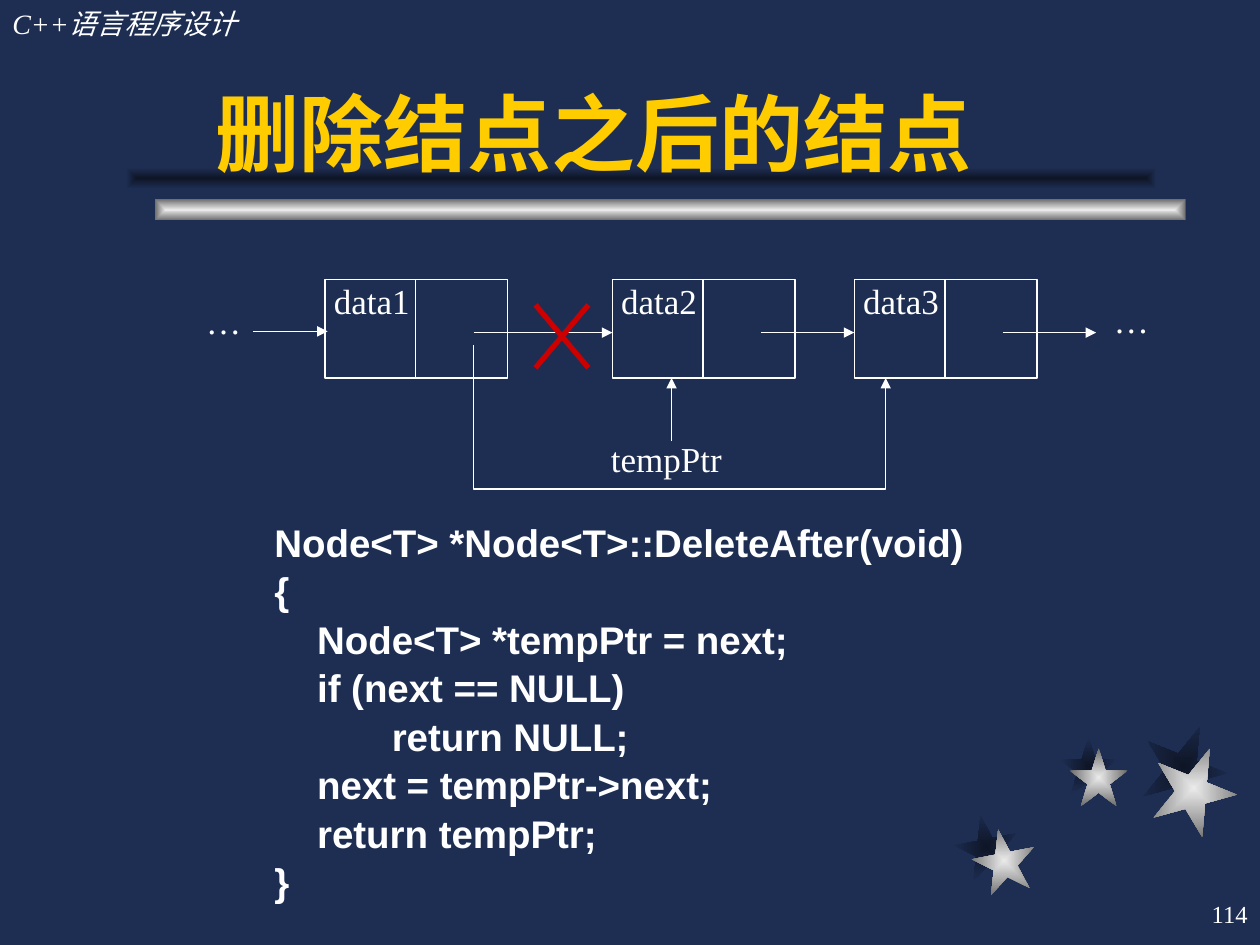
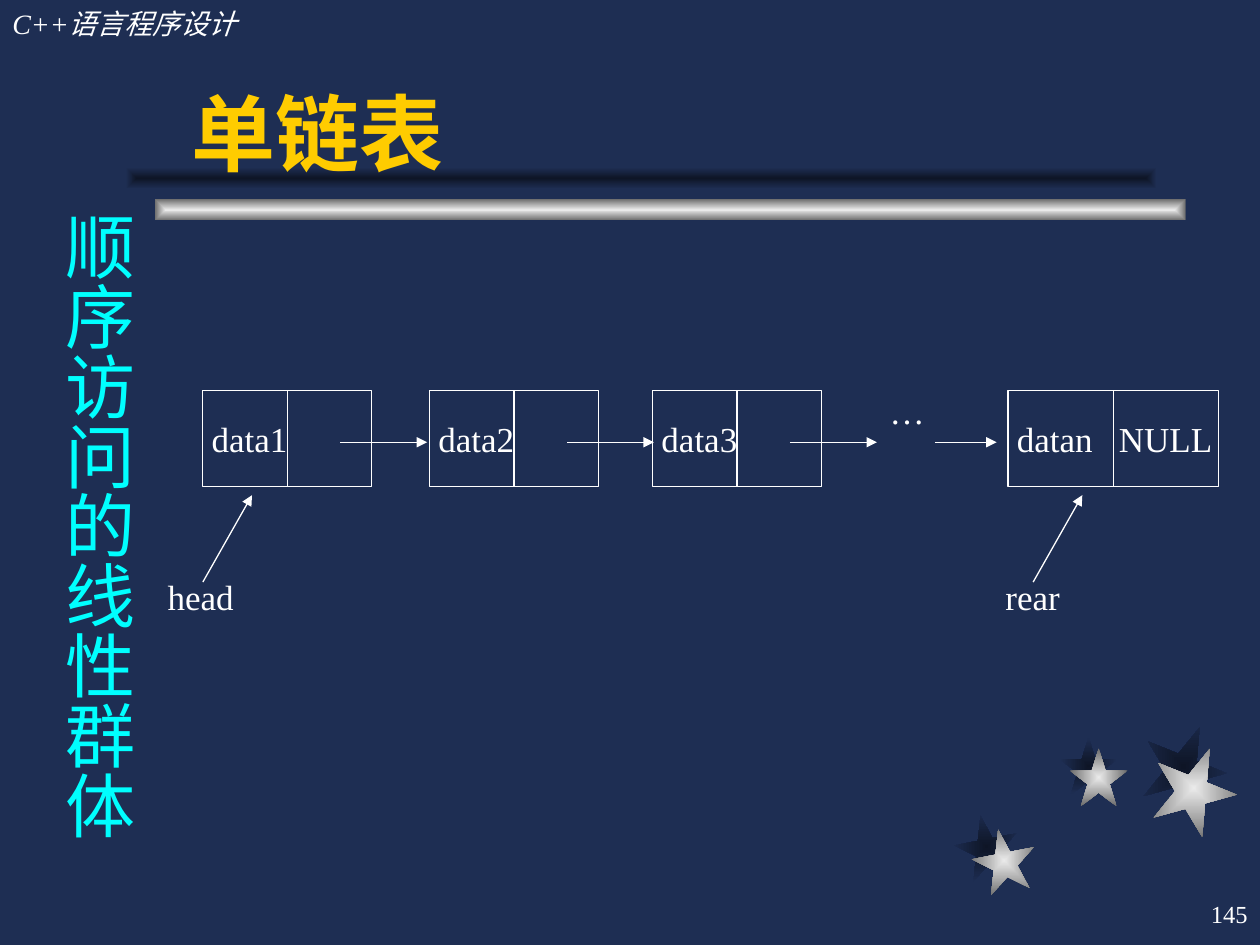
from pptx import Presentation
from pptx.dml.color import RGBColor
from pptx.enum.shapes import MSO_CONNECTOR, MSO_SHAPE
from pptx.enum.text import MSO_ANCHOR, MSO_AUTO_SIZE, PP_ALIGN
from pptx.oxml.ns import qn
from pptx.util import Inches, Pt
from lxml import etree

COLORS = {
    "night": "1E2E53",
    "shade": "0E1526",
    "silver": "EAEAEA",
    "steel": "6C6C6C",
    "white": "FFFFFF",
    "gold": "FFCC00",
    "cyan": "00FFFF",
    "red": "CC0000",
}
SERIF, SANS, HAN = "Times New Roman", "Arial", "Noto Sans CJK SC"
PLAIN = (0, 0, 0, 0)
NODE_INSETS = (0.07, 0, 0, 0)


def write_text(slide, text, box, size=20, font=SERIF, color="white", bold=False,
               italic=False, align=PP_ALIGN.LEFT, anchor=MSO_ANCHOR.TOP,
               insets=(0.1, 0.05, 0.1, 0.05), spacing=None, outlined=False,
               vertical=False, tab=None):
    place = [Inches(value) for value in box]
    if outlined:
        holder = slide.shapes.add_shape(MSO_SHAPE.RECTANGLE, *place)
        holder.shadow.inherit = False
        holder.fill.background()
        holder.line.color.rgb = RGBColor.from_string(COLORS["white"])
        holder.line.width = Pt(0.75)
    else:
        holder = slide.shapes.add_textbox(*place)
    frame = holder.text_frame
    frame.word_wrap = True
    frame.vertical_anchor = anchor
    (frame.margin_left, frame.margin_top,
     frame.margin_right, frame.margin_bottom) = [Inches(value) for value in insets]
    if vertical:
        frame.auto_size = MSO_AUTO_SIZE.SHAPE_TO_FIT_TEXT
        holder.element.txBody.find(qn("a:bodyPr")).set("vert", "eaVert")
    for number, words in enumerate(text.split("\n")):
        paragraph = frame.add_paragraph() if number else frame.paragraphs[0]
        paragraph.alignment = align
        if spacing:
            paragraph.line_spacing = spacing
        if tab:
            stops = etree.SubElement(paragraph._p.get_or_add_pPr(), qn("a:tabLst"))
            etree.SubElement(stops, qn("a:tab"), pos=str(Inches(tab)), algn="l")
        run = paragraph.add_run()
        run.text = words
        run.font.size = Pt(size)
        run.font.name = font
        run.font.bold = bold
        run.font.italic = italic
        run.font.color.rgb = RGBColor.from_string(COLORS[color])
        etree.SubElement(run._r.get_or_add_rPr(), qn("a:ea"), typeface=HAN)


def draw_line(slide, *points, color="white", width=0.75, arrow=True):
    corners = [(Inches(x), Inches(y)) for x, y in points]
    if len(corners) == 2:
        link = slide.shapes.add_connector(MSO_CONNECTOR.STRAIGHT, *corners[0], *corners[1])
    else:
        builder = slide.shapes.build_freeform(*corners[0])
        builder.add_line_segments(corners[1:], close=False)
        link = builder.convert_to_shape()
        link.fill.background()
    link.line.color.rgb = RGBColor.from_string(COLORS[color])
    link.line.width = Pt(width)
    if arrow:
        etree.SubElement(link.line._get_or_add_ln(), qn("a:tailEnd"), type="triangle")
    etree.SubElement(link.element.spPr, qn("a:effectLst"))


deck = Presentation()
deck.slide_width, deck.slide_height = Inches(10), Inches(7.5)

STAR, BAR = MSO_SHAPE.STAR_5_POINT, MSO_SHAPE.RECTANGLE
DARK, BRIGHT = ("shade", "night"), ("silver", "steel")
ornaments = [
    (STAR, DARK, 7.58, 6.47, 0.5, 0.5, 349),
    (STAR, DARK, 8.41, 5.85, 0.46, 0.46, 0),
    (STAR, DARK, 9.06, 5.75, 0.67, 0.67, 22),
    (STAR, BRIGHT, 7.72, 6.58, 0.5, 0.5, 349),
    (STAR, BRIGHT, 8.49, 5.94, 0.46, 0.46, 0),
    (STAR, BRIGHT, 9.14, 5.92, 0.67, 0.67, 22),
    (BAR, BRIGHT, 1.23, 1.58, 8.18, 0.17, 0),
    (BAR, DARK, 1, 1.33, 8.18, 0.17, 0),
]
pages = []
for title, page_number, title_inset in [("删除结点之后的结点", "114", 0.29), ("单链表", "145", 0.1)]:
    slide = deck.slides.add_slide(deck.slide_layouts[6])
    slide.background.fill.solid()
    slide.background.fill.fore_color.rgb = RGBColor.from_string(COLORS["night"])
    for outline, shades, left, top, width, height, turn in ornaments:
        ornament = slide.shapes.add_shape(
            outline, Inches(left), Inches(top), Inches(width), Inches(height))
        ornament.rotation = turn
        ornament.shadow.inherit = False
        ornament.line.fill.background()
        ornament.fill.gradient()
        for stop, shade, position in zip(ornament.fill.gradient_stops, shades, (0, 1)):
            stop.color.rgb = RGBColor.from_string(COLORS[shade])
            stop.position = position
        gradient = ornament.element.spPr.find(qn("a:gradFill"))
        linear = gradient.find(qn("a:lin"))
        glow = etree.Element(qn("a:path"), {"path": "rect"})
        etree.SubElement(glow, qn("a:fillToRect"), l="50000", t="50000", r="50000", b="50000")
        gradient.replace(linear, glow)
    write_text(slide, "C++语言程序设计", (0, 0, 3.08, 0.37), size=16, italic=True)
    write_text(slide, page_number, (7.92, 7, 2.08, 0.5), size=14,
               align=PP_ALIGN.RIGHT, anchor=MSO_ANCHOR.MIDDLE)
    write_text(slide, title, (1.42, 0.25, 7.83, 1.25), size=48, font=SANS, color="gold",
               bold=True, anchor=MSO_ANCHOR.BOTTOM, insets=(title_inset, 0.05, 0.1, 0.05))
    pages.append(slide)
deletion, single_list = pages

for label, left, arrow_end in [("data1", 2.58, 4.86), ("data2", 4.86, 6.78), ("data3", 6.78, 8.7)]:
    write_text(deletion, label, (left, 2.22, 1.45, 0.78), insets=NODE_INSETS, outlined=True)
    draw_line(deletion, (left + 0.72, 2.22), (left + 0.72, 3), arrow=False)
    draw_line(deletion, (left + 1.18, 2.64), (arrow_end, 2.64))
write_text(deletion, "…", (8.58, 2.32, 0.8, 0.85), align=PP_ALIGN.CENTER)
write_text(deletion, "…", (1.5, 2.38, 0.55, 0.62), align=PP_ALIGN.CENTER, insets=PLAIN)
draw_line(deletion, (2.01, 2.63), (2.6, 2.63))
draw_line(deletion, (3.76, 2.74), (3.76, 3.88), (7.03, 3.88), (7.03, 3))
for start, end in [(4.67, 4.25), (4.25, 4.67)]:
    draw_line(deletion, (start, 2.42), (end, 2.92), color="red", width=3, arrow=False)
write_text(deletion, "tempPtr", (4.75, 3.42, 1.08, 0.44))
draw_line(deletion, (5.33, 3.5), (5.33, 3))
delete_after = """Node<T> *Node<T>::DeleteAfter(void)
{
    Node<T> *tempPtr = next;
    if (next == NULL)
           return NULL;
    next = tempPtr->next;
    return tempPtr;
}"""
write_text(deletion, delete_after, (2.08, 4.05, 7.58, 3.04), size=22, font=SANS,
           bold=True, spacing=1.05)

for label, left, width in [("data1", 1.61, 1.34), ("data2", 3.41, 1.34),
                           ("data3", 5.18, 1.34), ("datan\tNULL", 8, 1.67)]:
    last = "NULL" in label
    write_text(single_list, label, (left, 3.1, width, 0.76), anchor=MSO_ANCHOR.MIDDLE,
               insets=NODE_INSETS, outlined=True, tab=0.81 if last else None)
    draw_line(single_list, (left + width / 2, 3.1), (left + width / 2, 3.86), arrow=False)
    if not last:
        draw_line(single_list, (left + 1.09, 3.51), (left + 1.78, 3.51))
write_text(single_list, "…", (6.83, 3.04, 0.74, 0.82), align=PP_ALIGN.CENTER)
draw_line(single_list, (7.42, 3.51), (7.91, 3.51))
for pointer, left, tip in [("head", 1.33, 2), ("rear", 7.98, 8.59)]:
    write_text(single_list, pointer, (left, 4.57, 0.88, 0.6), insets=PLAIN)
    draw_line(single_list, (tip - 0.39, 4.62), (tip, 3.93))
write_text(single_list, "顺序访问的线性群体", (0.3, 1.58, 0.86, 5.24), size=40, font=HAN,
           color="cyan", insets=(0.05, 0.1, 0.05, 0.1), vertical=True)

deck.save("out.pptx")
